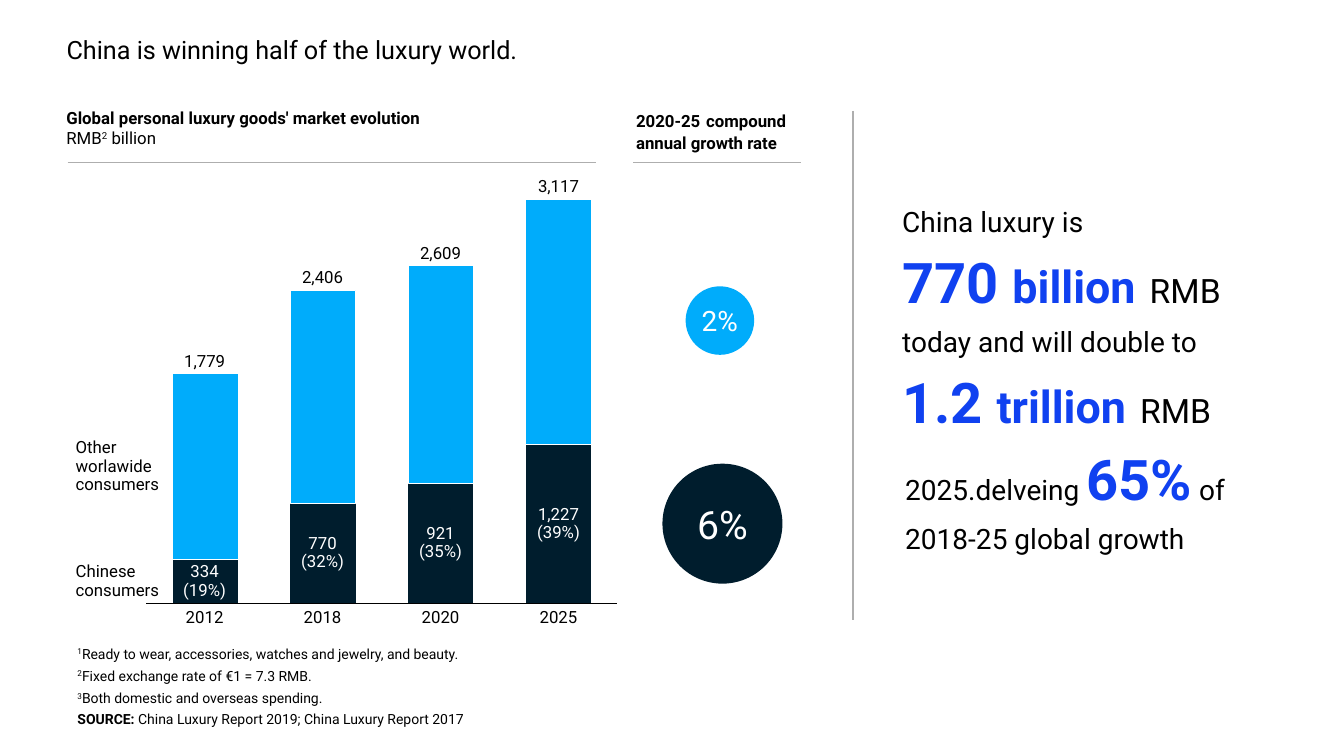
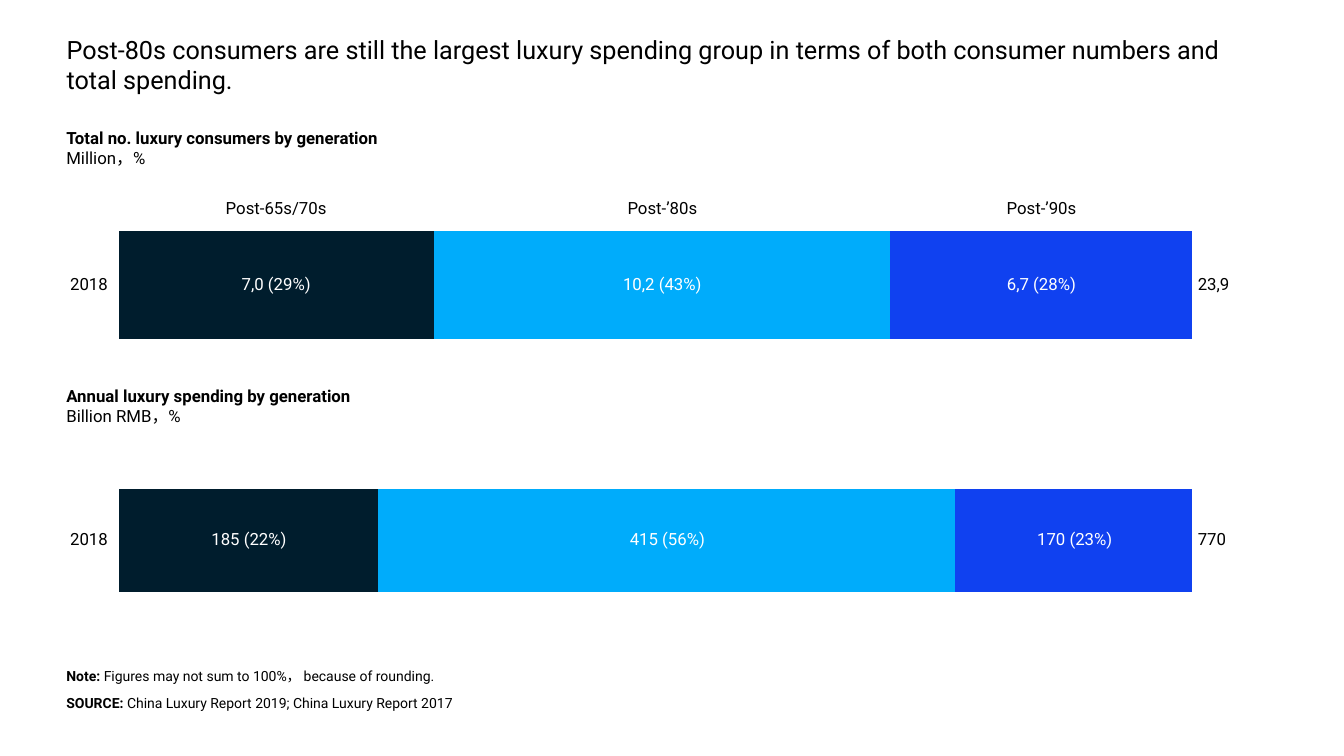
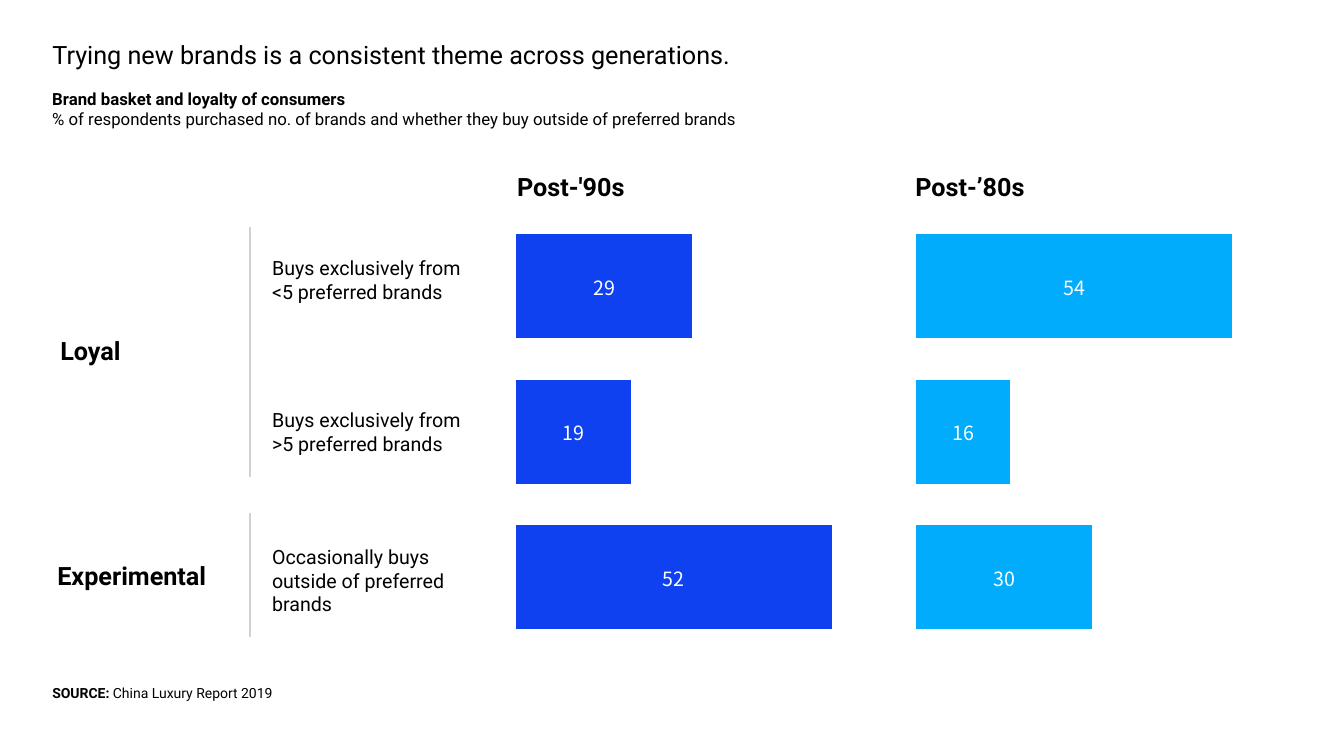
from dataclasses import dataclass, replace
from itertools import accumulate
from typing import NamedTuple, Optional, Sequence, Union

from lxml import etree
from pptx import Presentation
from pptx.chart.data import CategoryChartData
from pptx.dml.color import RGBColor
from pptx.enum.chart import XL_CHART_TYPE, XL_LABEL_POSITION, XL_TICK_LABEL_POSITION, XL_TICK_MARK
from pptx.enum.shapes import MSO_CONNECTOR, MSO_SHAPE
from pptx.enum.text import MSO_ANCHOR, MSO_AUTO_SIZE, PP_ALIGN
from pptx.oxml import parse_xml
from pptx.oxml.ns import nsdecls, qn
from pptx.util import Emu, Pt

COLUMN, BAR = XL_CHART_TYPE.COLUMN_STACKED, XL_CHART_TYPE.BAR_STACKED
LEFT, CENTER, RIGHT = PP_ALIGN.LEFT, PP_ALIGN.CENTER, PP_ALIGN.RIGHT
TOP, MIDDLE = MSO_ANCHOR.TOP, MSO_ANCHOR.MIDDLE
GROW, FIXED = MSO_AUTO_SIZE.SHAPE_TO_FIT_TEXT, MSO_AUTO_SIZE.NONE
NO_LABELS, NO_TICKS = XL_TICK_LABEL_POSITION.NONE, XL_TICK_MARK.NONE
LABEL_CENTER = XL_LABEL_POSITION.CENTER
ELLIPSE, STRAIGHT = MSO_SHAPE.OVAL, MSO_CONNECTOR.STRAIGHT

PX = 9144  # EMU, 100 px to the inch
SLIDE_W, SLIDE_H = 1333, 750
TITLE_ONLY = 5
LABEL_W, LABEL_LINE = 80, 18
PLOT_INSET = 9


@dataclass(frozen=True)
class Theme:
    font: str = "Roboto"
    chart_font: str = "Noto Sans CJK SC"
    black: str = "000000"
    white: str = "FFFFFF"
    navy: str = "001D2D"
    sky: str = "00ACFB"
    blue: str = "1041F0"
    rule: str = "AEAEAE"
    light_rule: str = "D1D1D1"
    note: int = 10
    label: int = 12
    row: int = 14
    title: int = 18
    lead: int = 20
    unit: int = 24
    bubble: int = 28
    scale: int = 32
    figure: int = 40


T = Theme()


class Box(NamedTuple):
    x: int
    y: int
    w: int
    h: int


@dataclass(frozen=True)
class Run:
    """A stretch of text; None keeps the paragraph's setting."""
    text: str
    size: Optional[int] = None
    color: Optional[str] = None
    bold: Optional[bool] = None
    font: Optional[str] = None
    raised: bool = False


Para = Union[str, Sequence[Run]]


@dataclass(frozen=True)
class Style:
    size: int
    color: str = T.black
    bold: bool = False
    align: PP_ALIGN = LEFT
    anchor: MSO_ANCHOR = TOP
    spacing: Optional[float] = None
    padded: bool = True
    wrap: bool = False
    grow: bool = True


TITLE = Style(T.title, wrap=True, grow=False)
BODY = Style(T.label)
NOTE = Style(T.note)
ROW = Style(T.row)
LEAD = Style(T.lead)
HEADER = Style(T.title, bold=True)
LABEL = Style(T.label, align=CENTER, anchor=MIDDLE, spacing=0.9, padded=False, grow=False)
LABEL_ON_FILL = replace(LABEL, color=T.white)


@dataclass(frozen=True)
class Series:
    values: Sequence[int]
    color: str
    outline: Optional[str] = None


@dataclass(frozen=True)
class Bubble:
    text: str
    box: Box
    color: str
    size: int


@dataclass(frozen=True)
class Generation:
    """One horizontal stacked bar with its captions."""
    heading: str
    unit: str
    heading_y: int
    frame: Box
    values: Sequence[int]
    labels: Sequence[str]
    total: str


def rgb(color: str) -> RGBColor:
    return RGBColor.from_string(color)


def emu(*lengths: int) -> list:
    return [Emu(n * PX) for n in lengths]


def set_font(font, size=None, color=None, bold=None, name=None) -> None:
    if size is not None:
        font.size = Pt(size)
    if color is not None:
        font.color.rgb = rgb(color)
    if bold is not None:
        font.bold = bold
    if name is not None:
        font.name = name


def write(sp, paras: Sequence[Para], style: Style) -> None:
    tf = sp.text_frame
    tf.word_wrap = style.wrap
    tf.auto_size = GROW if style.grow else FIXED
    tf.vertical_anchor = style.anchor
    side, end = (10, 5) if style.padded else (0, 0)
    tf.margin_left, tf.margin_right, tf.margin_top, tf.margin_bottom = emu(side, side, end, end)
    for i, para in enumerate(paras):
        p = tf.add_paragraph() if i else tf.paragraphs[0]
        p.alignment = style.align
        if style.spacing:
            p.line_spacing = style.spacing
        set_font(p.font, style.size, style.color, style.bold, T.font)
        if isinstance(para, str):
            p.text = para
            continue
        for run in para:
            r = p.add_run()
            r.text = run.text
            font = p.font if len(para) == 1 else r.font
            set_font(font, run.size, run.color, run.bold, run.font)
            if run.raised:
                r._r.get_or_add_rPr().set("baseline", "30000")


def add_text(slide, box: Box, paras: Sequence[Para], style: Style) -> None:
    write(slide.shapes.add_textbox(*emu(*box)), paras, style)


def add_label(slide, text: str, cx: float, cy: float, style: Style = LABEL) -> None:
    """Centre a label on a point; a vertical tab in the text breaks the line."""
    h = LABEL_LINE * (text.count("\v") + 1)
    box = Box(round(cx - LABEL_W / 2), round(cy - h / 2), LABEL_W, h)
    add_text(slide, box, [text], style)


def add_heading(slide, box: Box, heading: str, unit: Para) -> None:
    add_text(slide, box, [[Run(heading, bold=True)], unit], BODY)


def add_note(slide, box: Box, lead: Run, text: str) -> None:
    add_text(slide, box, [[lead, Run(text)]], NOTE)


def add_source(slide, x: int, y: int, text: str) -> None:
    add_note(slide, Box(x, y, 415, 27), Run("SOURCE: ", bold=True), text)


def add_rule(slide, x1: int, y1: int, x2: int, y2: int, color: str = T.rule, width: float = 1) -> None:
    line = slide.shapes.add_connector(STRAIGHT, *emu(x1, y1, x2, y2))
    line.line.color.rgb = rgb(color)
    line.line.width = Pt(width)
    etree.SubElement(line._element.spPr, qn("a:effectLst"))


def add_bubble(slide, bubble: Bubble) -> None:
    sp = slide.shapes.add_shape(ELLIPSE, *emu(*bubble.box))
    sp.shadow.inherit = False
    sp.fill.solid()
    sp.fill.fore_color.rgb = rgb(bubble.color)
    sp.line.fill.background()
    write(sp, [bubble.text], replace(LABEL_ON_FILL, size=bubble.size, spacing=None))


def set_plot_inset(chart, frame: Box, dx: int, dy: int) -> None:
    x, y = dx / frame.w, dy / frame.h
    parts = {"x": x, "y": y, "w": 1 - 2 * x, "h": 1 - 2 * y}
    sizes = "".join(f'<c:{k} val="{v:.3f}"/>' for k, v in parts.items())
    layout = parse_xml(
        f'<c:layout {nsdecls("c")}><c:manualLayout><c:layoutTarget val="inner"/>'
        f'<c:xMode val="edge"/><c:yMode val="edge"/>{sizes}</c:manualLayout></c:layout>')
    area = chart._chartSpace.find(".//" + qn("c:plotArea"))
    for old in area.findall(qn("c:layout")):
        area.remove(old)
    area.insert(0, layout)


def add_stacked_chart(slide, kind, frame: Box, series: Sequence[Series], gap: int = 80,
                      axis_color: str = T.white, inset_y: int = PLOT_INSET):
    """Draw a stacked chart whose longest stack fills the plot."""
    data = CategoryChartData()
    stacks = list(zip(*(s.values for s in series)))
    data.categories = [str(i + 1) for i in range(len(stacks))]
    for i, s in enumerate(series, 1):
        data.add_series(f"Series {i}", s.values)
    chart = slide.shapes.add_chart(kind, *emu(*frame), data).chart
    chart.has_legend = chart.has_title = False
    set_font(chart.font, T.note, T.black, name=T.chart_font)
    set_plot_inset(chart, frame, PLOT_INSET, inset_y)

    values, cats = chart.value_axis, chart.category_axis
    values.minimum_scale, values.maximum_scale = 0, max(map(sum, stacks))
    values.has_major_gridlines = False
    values.visible = False
    cats.tick_label_position = NO_LABELS
    cats.major_tick_mark = cats.minor_tick_mark = NO_TICKS
    cats.format.line.color.rgb = rgb(axis_color)
    cats.format.line.width = Pt(0.75)
    cats.reverse_order = kind == BAR

    plot = chart.plots[0]
    plot.gap_width, plot.overlap, plot.vary_by_categories = gap, 100, False
    for s, drawn in zip(series, plot.series):
        drawn.format.fill.solid()
        drawn.format.fill.fore_color.rgb = rgb(s.color)
        if s.outline:
            drawn.format.line.color.rgb = rgb(s.outline)
            drawn.format.line.width = Pt(0.25)
    return chart


def add_slide(prs, title: str, box: Box):
    slide = prs.slides.add_slide(prs.slide_layouts[TITLE_ONLY])
    sp = slide.shapes.title
    sp.left, sp.top, sp.width, sp.height = emu(*box)
    write(sp, [title], TITLE)
    return slide


def add_market_columns(slide) -> None:
    frame = Box(136, 189, 485, 419)
    chinese, others = (18, 41, 49, 65), (76, 87, 89, 100)
    years = ("2012", "2018", "2020", "2025")
    shares = ("334\v(19%)", "770\v(32%)", "921\v(35%)", "1,227\v(39%)")
    totals = ("1,779", "2,406", "2,609", "3,117")
    add_stacked_chart(slide, COLUMN, frame,
                      [Series(chinese, T.navy), Series(others, T.sky, T.white)],
                      axis_color=T.black)
    base = frame.y + frame.h - PLOT_INSET
    step = (frame.w - 2 * PLOT_INSET) / len(years)
    unit = (frame.h - 2 * PLOT_INSET) / max(a + b for a, b in zip(chinese, others))
    for i, (dark, light) in enumerate(zip(chinese, others)):
        cx = frame.x + PLOT_INSET + step * (i + 0.5)
        add_label(slide, years[i], cx, base + 14)
        add_label(slide, shares[i], cx, base - dark * unit / 2, LABEL_ON_FILL)
        add_label(slide, totals[i], cx, base - (dark + light) * unit - 12)
    side = replace(LABEL, align=LEFT)
    add_text(slide, Box(75, 436, 82, 54), ["Other\vworlawide\vconsumers"], side)
    add_text(slide, Box(75, 559, 82, 36), ["Chinese\vconsumers"], side)


def figure_line(number: str, scale: str) -> Sequence[Run]:
    strong = dict(color=T.blue, bold=True)
    return [Run(number + " ", T.figure, **strong), Run(scale, T.scale, **strong),
            Run(" ", T.figure, **strong), Run("RMB", T.unit)]


def build_market(prs) -> None:
    slide = add_slide(prs, "China is winning half of the luxury world.", Box(56, 29, 1219, 40))
    add_heading(slide, Box(56, 102, 401, 50), "Global personal luxury goods' market evolution",
                [Run("RMB"), Run("2", raised=True), Run(" billion")])
    add_text(slide, Box(621, 97, 181, 61),
             [[Run("2020-25"), Run(" ", T.title, bold=False, font=T.chart_font), Run("compound")],
              "annual growth rate"], replace(BODY, bold=True, wrap=True))
    for rule in ((67, 161, 591, 161), (628, 161, 794, 161), (846, 110, 846, 615)):
        add_rule(slide, *rule)
    add_market_columns(slide)
    for bubble in (Bubble("2%", Box(680, 284, 68, 68), T.sky, T.lead),
                   Bubble("6%", Box(657, 460, 119, 119), T.navy, T.bubble)):
        add_bubble(slide, bubble)

    growth = [Run("2025.delveing "), Run("65%", T.figure, T.blue, True), Run(" of")]
    headline = (
        (Box(885, 198, 206, 44), "China luxury is"),
        (Box(885, 241, 361, 77), figure_line("770", "billion")),
        (Box(885, 317, 331, 44), "today and will double to"),
        (Box(885, 360, 354, 77), figure_line("1.2", "trillion")),
        (Box(888, 436, 360, 77), growth),
        (Box(888, 512, 317, 44), "2018-25 global growth"),
    )
    for box, para in headline:
        add_text(slide, box, [para], LEAD)

    footnotes = ("Ready to wear, accessories, watches and jewelry, and beauty.",
                 "Fixed exchange rate of €1 = 7.3 RMB.",
                 "Both domestic and overseas spending.")
    for i, text in enumerate(footnotes):
        add_note(slide, Box(67, 635 + 22 * i, 411, 27), Run(str(i + 1), raised=True), text)
    add_source(slide, 67, 700, "China Luxury Report 2019; China Luxury Report 2017")


def add_generation_bar(slide, bar: Generation) -> Sequence[float]:
    """Draw one bar and return the centres of its segments."""
    frame = bar.frame
    add_heading(slide, Box(56, bar.heading_y, 354, 50), bar.heading, bar.unit)
    add_stacked_chart(slide, BAR, frame, [Series([v], c) for v, c in
                                          zip(bar.values, (T.navy, T.sky, T.blue))])
    unit = (frame.w - 2 * PLOT_INSET) / sum(bar.values)
    centers = [frame.x + PLOT_INSET + (end - v / 2) * unit
               for v, end in zip(bar.values, accumulate(bar.values))]
    cy = frame.y + frame.h // 2
    for text, cx in zip(bar.labels, centers):
        add_label(slide, text, cx, cy, LABEL_ON_FILL)
    for text, x, align in (("2018", 69, RIGHT), (bar.total, 1188, LEFT)):
        add_text(slide, Box(x, cy - LABEL_LINE // 2, 38, LABEL_LINE), [text],
                 replace(LABEL, align=align))
    return centers


def build_generations(prs) -> None:
    slide = add_slide(prs, "Post-80s consumers are still the largest luxury spending group in terms "
                      "of both consumer numbers and total spending.", Box(56, 29, 1219, 71))
    consumers = Generation("Total no. luxury consumers by generation", "Million，%", 122,
                           Box(109, 178, 1083, 210), (69, 100, 66),
                           ("7,0 (29%)", "10,2 (43%)", "6,7 (28%)"), "23,9")
    spending = Generation("Annual luxury spending by generation", "Billion RMB，%", 378,
                          Box(109, 435, 1083, 202), (45, 100, 41),
                          ("185 (22%)", "415 (56%)", "170 (23%)"), "770")
    centers = add_generation_bar(slide, consumers)
    for text, cx in zip(("Post-65s/70s", "Post-’80s", "Post-’90s"), centers):
        add_label(slide, text, cx, 207)
    add_generation_bar(slide, spending)
    add_note(slide, Box(56, 657, 395, 27), Run("Note: ", bold=True),
             "Figures may not sum to 100%， because of rounding.")
    add_source(slide, 56, 684, "China Luxury Report 2019; China Luxury Report 2017")


def build_loyalty(prs) -> None:
    slide = add_slide(prs, "Trying new brands is a consistent theme across generations.",
                      Box(42, 34, 1213, 40))
    add_heading(slide, Box(42, 83, 737, 50), "Brand basket and loyalty of consumers",
                "% of respondents purchased no. of brands and whether they buy outside of "
                "preferred brands")
    for text, box in (("Loyal", Box(50, 328, 86, 40)), ("Experimental", Box(47, 551, 180, 40)),
                      ("Post-'90s", Box(503, 165, 134, 40)), ("Post-’80s", Box(898, 165, 137, 40))):
        add_text(slide, box, [text], HEADER)
    for top, bottom in ((225, 473), (509, 632)):
        add_rule(slide, 248, top, 248, bottom, T.light_rule, 1.5)
    rows = ((249, ("Buys exclusively from", "<5 preferred brands")),
            (400, ("Buys exclusively from", ">5 preferred brands")),
            (536, ("Occasionally buys", "outside of preferred", "brands")))
    for y, lines in rows:
        add_text(slide, Box(260, y, 212, 9 + 24 * len(lines)), lines, ROW)
    for x, values, color in ((503, (29, 19, 52), T.blue), (900, (54, 16, 30), T.sky)):
        chart = add_stacked_chart(slide, BAR, Box(x, 178, 331, 501), [Series(values, color)],
                                  gap=40, inset_y=34)
        plot = chart.plots[0]
        plot.has_data_labels = True
        labels = plot.data_labels
        labels.show_value = True
        labels.position = LABEL_CENTER
        set_font(labels.font, T.row, T.white, name=T.chart_font)
    add_source(slide, 42, 674, "China Luxury Report 2019")


def main() -> None:
    prs = Presentation()
    prs.slide_width, prs.slide_height = emu(SLIDE_W, SLIDE_H)
    for build in (build_market, build_generations, build_loyalty):
        build(prs)
    prs.save("out.pptx")


if __name__ == "__main__":
    main()
